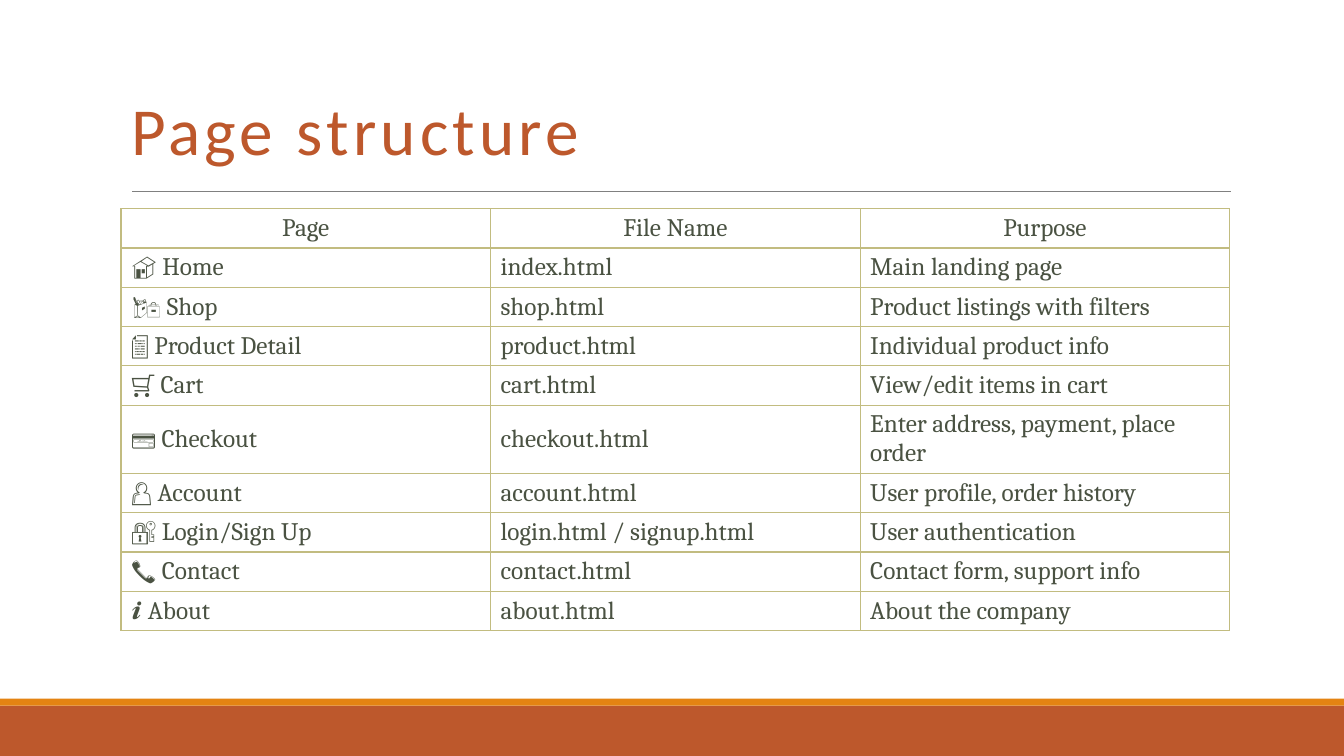
from lxml import etree
from pptx import Presentation
from pptx.dml.color import RGBColor
from pptx.enum.shapes import MSO_CONNECTOR, MSO_SHAPE
from pptx.enum.text import MSO_ANCHOR, MSO_AUTO_SIZE, PP_ALIGN
from pptx.oxml.ns import qn
from pptx.util import Inches, Pt

RECTANGLE = MSO_SHAPE.RECTANGLE
STRAIGHT = MSO_CONNECTOR.STRAIGHT
BOTTOM, MIDDLE = MSO_ANCHOR.BOTTOM, MSO_ANCHOR.MIDDLE
LEFT, CENTER = PP_ALIGN.LEFT, PP_ALIGN.CENTER
NO_AUTOFIT = MSO_AUTO_SIZE.NONE

RUST, ORANGE, GRAY = "BD582C", "E48312", "808080"
TITLE_FONT = {"name": "Calibri", "size": Pt(48), "bold": False}
CELL_FONT = {"name": "Cambria", "size": Pt(18), "bold": False}
CELL_COLOR, BORDER_COLOR = "4A5242", "C2BC80"
ROW_HEIGHT, TALL_ROW_HEIGHT = 5.2, 8.93
TALL_PAGE = "checkout.html"

PAGES = [
    ("Page", "File Name", "Purpose"),
    ("🏠 Home", "index.html", "Main landing page"),
    ("🛍️ Shop", "shop.html", "Product listings with filters"),
    ("📄 Product Detail", "product.html", "Individual product info"),
    ("🛒 Cart", "cart.html", "View/edit items in cart"),
    ("💳 Checkout", "checkout.html", "Enter address, payment, place order"),
    ("👤 Account", "account.html", "User profile, order history"),
    ("🔐 Login/Sign Up", "login.html / signup.html", "User authentication"),
    ("📞 Contact", "contact.html", "Contact form, support info"),
    ("ℹ️ About", "about.html", "About the company"),
]


def color(value):
    return RGBColor.from_string(value)


def apply_font(font, formats, font_color):
    for name, value in formats.items():
        setattr(font, name, value)
    font.color.rgb = color(font_color)


class SlideBuilder:
    """Builds one slide, with lengths given as percentages of its size."""

    def __init__(self, presentation):
        self.width = presentation.slide_width
        self.height = presentation.slide_height
        self.slide = presentation.slides.add_slide(presentation.slide_layouts[5])
        self.shapes = self.slide.shapes

    def across(self, percent):
        return round(self.width * percent / 100)

    def down(self, percent):
        return round(self.height * percent / 100)

    def box(self, left, top, width, height):
        return self.across(left), self.down(top), self.across(width), self.down(height)

    def title(self, text, *place):
        shape = self.shapes.title
        shape.left, shape.top, shape.width, shape.height = self.box(*place)
        frame = shape.text_frame
        frame.text = text
        frame.auto_size = NO_AUTOFIT
        frame.word_wrap = True
        frame.vertical_anchor = BOTTOM
        paragraph = frame.paragraphs[0]
        paragraph.alignment = LEFT
        paragraph.line_spacing = 0.85
        run = paragraph.runs[0]
        apply_font(run.font, TITLE_FONT, RUST)
        run.font._element.set("spc", "300")

    def bar(self, fill, *place):
        shape = self.shapes.add_shape(RECTANGLE, *self.box(*place))
        shape.shadow.inherit = False
        shape.fill.solid()
        shape.fill.fore_color.rgb = color(fill)
        shape.line.fill.background()

    def rule(self, left, right, top):
        line = self.shapes.add_connector(
            STRAIGHT, self.across(left), self.down(top), self.across(right), self.down(top))
        line.line.color.rgb = color(GRAY)
        line.line.width = Pt(0.5)
        etree.SubElement(line._element.spPr, qn("a:effectLst"))

    def table(self, rows, left, top, width):
        heights = [TALL_ROW_HEIGHT if TALL_PAGE in row else ROW_HEIGHT for row in rows]
        place = self.box(left, top, width, sum(heights))
        table = self.shapes.add_table(len(rows), len(rows[0]), *place).table
        table.first_row = table.horz_banding = False
        for row_index, (row, height) in enumerate(zip(rows, heights)):
            table.rows[row_index].height = self.down(height)
            for column_index, text in enumerate(row):
                alignment = LEFT if row_index else CENTER
                self.cell(table.cell(row_index, column_index), text, alignment)

    def cell(self, cell, text, alignment):
        cell.text = text
        cell.fill.background()
        cell.vertical_anchor = MIDDLE
        paragraph = cell.text_frame.paragraphs[0]
        paragraph.alignment = alignment
        apply_font(paragraph.runs[0].font, CELL_FONT, CELL_COLOR)
        properties = cell._tc.get_or_add_tcPr()
        for index, side in enumerate("LRTB"):
            border = etree.Element(qn(f"a:ln{side}"), w=str(Pt(1)))
            fill = etree.SubElement(border, qn("a:solidFill"))
            etree.SubElement(fill, qn("a:srgbClr"), val=BORDER_COLOR)
            properties.insert(index, border)


def main():
    presentation = Presentation()
    presentation.slide_width = Inches(13.33)
    presentation.slide_height = Inches(7.5)
    builder = SlideBuilder(presentation)
    builder.bar(RUST, 0, 93.33, 100, 6.67)
    builder.bar(ORANGE, 0, 92.4, 100, 0.93)
    builder.rule(9.83, 91.6, 25.33)
    builder.title("Page structure", 9, 3.73, 84.92, 19.33)
    builder.table(PAGES, 9, 27.6, 82.5)
    presentation.save("out.pptx")


if __name__ == "__main__":
    main()
